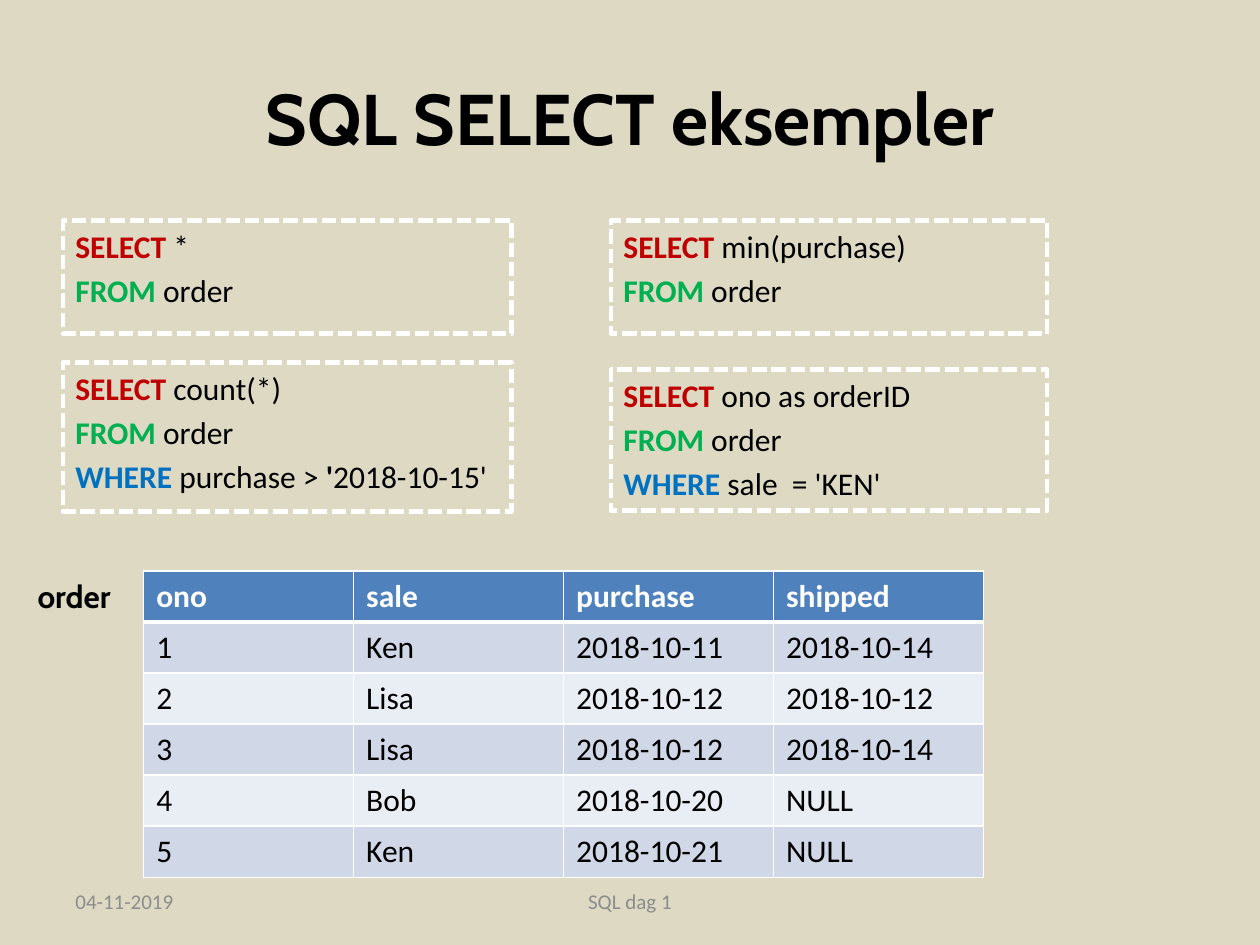
from pptx import Presentation
from pptx.util import Pt
from pptx.dml.color import RGBColor
from pptx.enum.dml import MSO_LINE_DASH_STYLE as Dash
from pptx.enum.shapes import MSO_SHAPE as Kind
from pptx.enum.text import MSO_ANCHOR as Anchor, PP_ALIGN as Align
from pptx.oxml import parse_xml
from pptx.oxml.ns import nsdecls


def tint(color, code):
    color.rgb = RGBColor.from_string(code)


def write(par, text, code="000000", **form):
    run = par.add_run()
    run.text = text
    look = {"name": "Calibri", "size": Pt(18), "bold": False} | form
    for key, val in look.items():
        setattr(run.font, key, val)
    tint(run.font.color, code)


deck = Presentation()
deck.slide_width, deck.slide_height = Pt(720), Pt(540)
slide = deck.slides.add_slide(deck.slide_layouts[6])
back = slide.background.fill
back.solid()
tint(back.fore_color, "DDD9C3")

# Title, table label and footer
gray = {"code": "8C8C8C", "size": Pt(12)}
head = {"name": "Cabin", "bold": True}
labels = [
    ("SQL SELECT eksempler", (36, 21.6, 648, 90), Align.CENTER, Anchor.MIDDLE,
     head | {"size": Pt(41)}),
    ("order", (14.4, 326.16, 79.2, 29), Align.LEFT, Anchor.TOP, head),
    ("04-11-2019", (36, 500.5, 168, 28.75), Align.LEFT, Anchor.MIDDLE, gray),
    ("SQL dag 1", (246, 500.5, 228, 28.75), Align.CENTER, Anchor.MIDDLE, gray),
]
for text, spot, side, anchor, form in labels:
    frame = slide.shapes.add_textbox(*map(Pt, spot)).text_frame
    frame.word_wrap = True
    frame.vertical_anchor = anchor
    par = frame.paragraphs[0]
    par.alignment = side
    write(par, text, **form)

# Query boxes: each line is a keyword and the rest, as (text, bold) parts
hues = {"SELECT": "C00000", "FROM": "00B050", "WHERE": "0070C0"}
table_part = ("FROM", [(" order", False)])
left, right = (36, 256.3), (349.2, 249.1)
queries = [
    (left, 126, 64.8, [("SELECT", [(" *", False)]), table_part]),
    (right, 126, 64.8, [("SELECT", [(" min(purchase)", False)]), table_part]),
    (left, 207.2, 85, [
        ("SELECT", [(" count(*)", False)]), table_part,
        ("WHERE", [(" purchase > ", False), ("'", True), ("2018-10-15'", False)])]),
    (right, 211.2, 80.8, [
        ("SELECT", [(" ono as orderID", False)]), table_part,
        ("WHERE", [(" sale  = 'KEN'", False)])]),
]
for (x, wide), y, high, lines in queries:
    box = slide.shapes.add_shape(Kind.RECTANGLE, Pt(x), Pt(y), Pt(wide), Pt(high))
    box.shadow.inherit = False
    box.fill.background()
    tint(box.line.color, "FFFFFF")
    box.line.width = Pt(2.75)
    box.line.dash_style = Dash.SQUARE_DOT
    frame = box.text_frame
    frame.word_wrap = True
    frame.vertical_anchor = Anchor.TOP
    for row, (word, parts) in enumerate(lines):
        par = frame.add_paragraph() if row else frame.paragraphs[0]
        par.alignment = Align.LEFT
        par.space_before = Pt(3.6)
        write(par, word, hues[word], bold=True)
        for text, bold in parts:
            write(par, text, bold=bold)

# Order table
orders = [
    ("ono", "sale", "purchase", "shipped"),
    ("1", "Ken", "2018-10-11", "2018-10-14"),
    ("2", "Lisa", "2018-10-12", "2018-10-12"),
    ("3", "Lisa", "2018-10-12", "2018-10-14"),
    ("4", "Bob", "2018-10-20", "NULL"),
    ("5", "Ken", "2018-10-21", "NULL"),
]
grid = slide.shapes.add_table(6, 4, Pt(82.1), Pt(326.16), Pt(480), Pt(175.2)).table
for row, vals in enumerate(orders):
    grid.rows[row].height = Pt(29.2)
    for col, text in enumerate(vals):
        cell = grid.cell(row, col)
        props = cell._tc.get_or_add_tcPr()
        for edge in ("lnL", "lnR", "lnT", "lnB"):
            thick = (row, edge) in ((0, "lnB"), (1, "lnT"))
            props.append(parse_xml(
                f'<a:{edge} {nsdecls("a")} w="{Pt(3 if thick else 1)}"><a:solidFill>'
                f'<a:srgbClr val="FFFFFF"/></a:solidFill></a:{edge}>'))
        cell.fill.solid()
        tint(cell.fill.fore_color,
             "4F81BD" if row == 0 else "D0D8E8" if row % 2 else "E9EDF4")
        write(cell.text_frame.paragraphs[0], text,
              "000000" if row else "FFFFFF", bold=row == 0)

deck.save("out.pptx")
